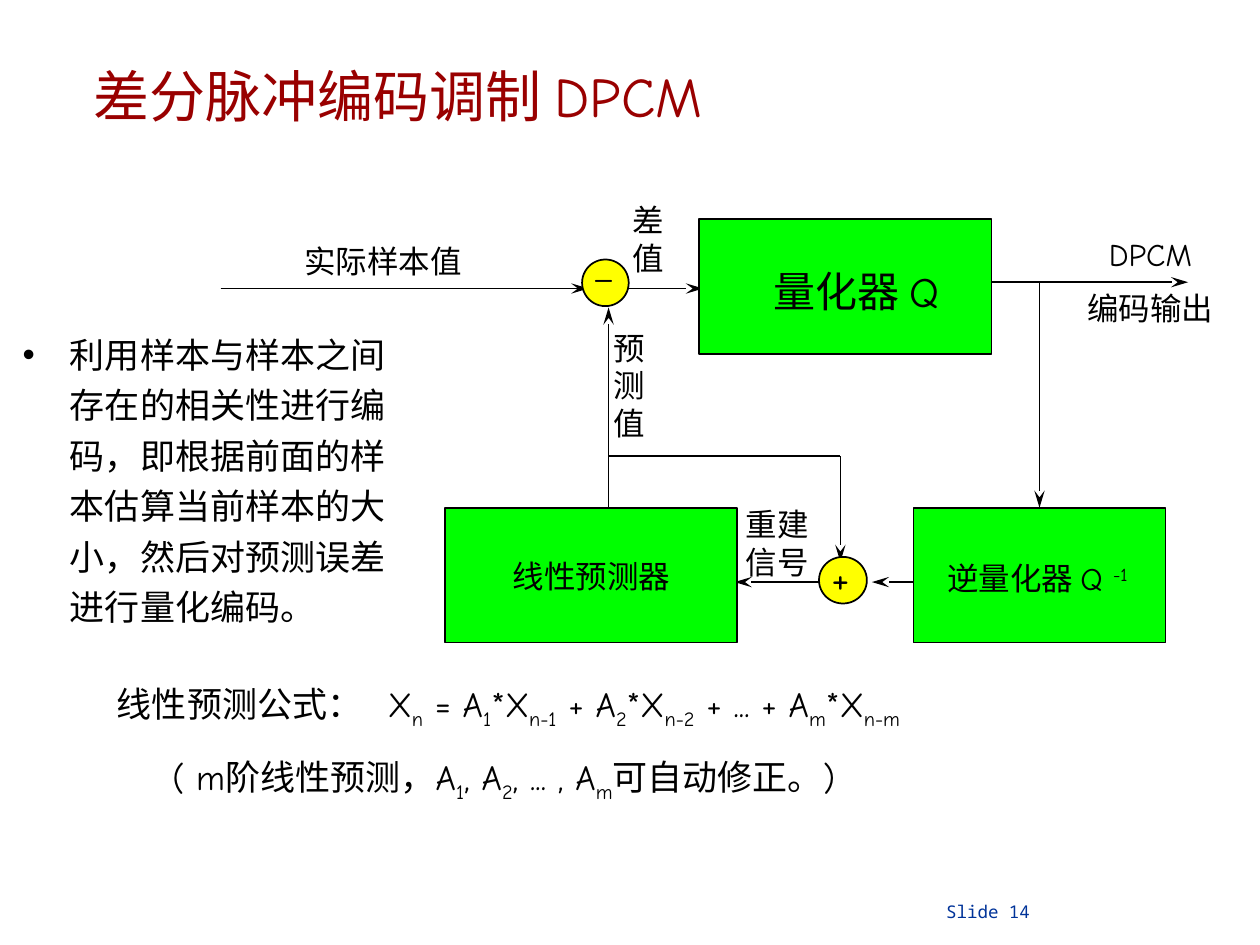
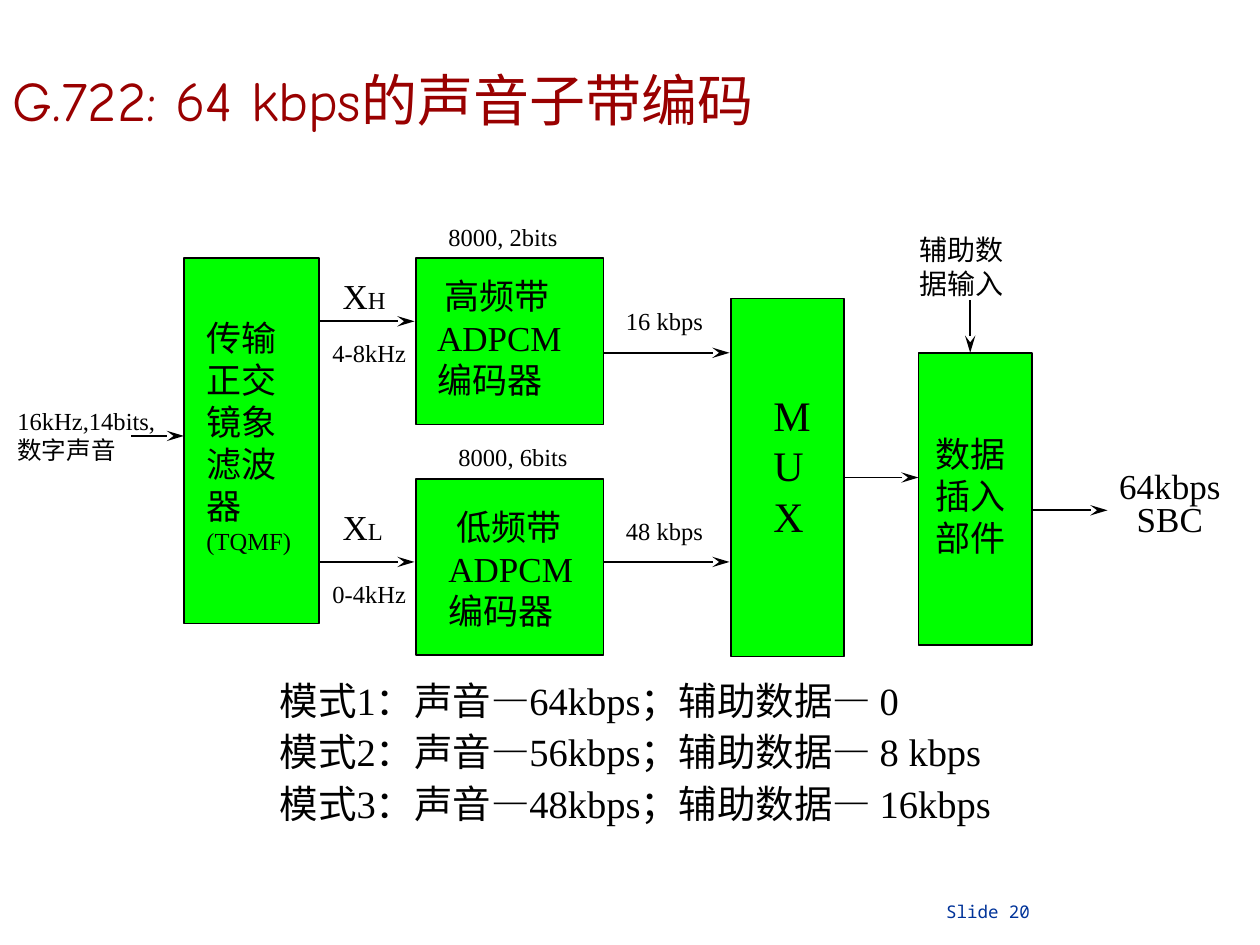
"""Build two slides on DPCM and G.722 sub-band audio coding."""
from dataclasses import dataclass

from lxml import etree
from pptx import Presentation
from pptx.dml.color import RGBColor
from pptx.enum.shapes import MSO_CONNECTOR, MSO_SHAPE
from pptx.enum.text import MSO_ANCHOR, MSO_AUTO_SIZE, PP_ALIGN
from pptx.oxml.ns import qn
from pptx.util import Inches, Pt

LEFT, CENTER = PP_ALIGN.LEFT, PP_ALIGN.CENTER
TOP, NO_FIT = MSO_ANCHOR.TOP, MSO_AUTO_SIZE.NONE
RECTANGLE, OVAL = MSO_SHAPE.RECTANGLE, MSO_SHAPE.OVAL
STRAIGHT = MSO_CONNECTOR.STRAIGHT
BOX_TOP, BOX_RIGHT = 0, 3


@dataclass(frozen=True)
class Theme:
    ink: RGBColor = RGBColor.from_string("000000")
    title: RGBColor = RGBColor.from_string("990000")
    footer: RGBColor = RGBColor.from_string("003399")
    block: RGBColor = RGBColor.from_string("00FF00")
    node: RGBColor = RGBColor.from_string("FFFF00")
    hand: str = "Comic Neue"
    serif: str = "Times New Roman"
    mono: str = "Noto Sans Mono"
    title_size: int = 32
    large: int = 24
    modes: int = 22
    text: int = 20
    label: int = 18
    note: int = 16
    small: int = 14
    footer_size: int = 10
    line: int = 1


THEME = Theme()


def write(target, bounds, text, size, font, color=THEME.ink, align=LEFT, spacing=1.0,
          before=None, odd_size=None, shift=0, margins=(0.1, 0.05)):
    """Fill a text shape; odd pieces between bars take odd_size and the baseline shift."""
    target.left, target.top, target.width, target.height = map(Inches, bounds)
    frame = target.text_frame
    frame.word_wrap, frame.auto_size, frame.vertical_anchor = True, NO_FIT, TOP
    frame.margin_left = frame.margin_right = Inches(margins[0])
    frame.margin_top = frame.margin_bottom = Inches(margins[1])
    frame.text = text.replace("|", "")
    for paragraph, content in zip(frame.paragraphs, text.split("\n")):
        pieces = content.split("|")
        paragraph.text = pieces[0]
        for piece in pieces[1:]:
            paragraph.add_run().text = piece
        paragraph.alignment, paragraph.line_spacing = align, spacing
        paragraph.space_before = Pt(0.625 * (odd_size or size) if before is None else before)
        for index, run in enumerate(paragraph.runs):
            odd = index % 2 == 1
            run.font.size = Pt(odd_size if odd and odd_size else size)
            run.font.name, run.font.color.rgb = font, color
            if odd and shift:
                run._r.get_or_add_rPr().set("baseline", str(shift * 1000))


def draw_line(slide, start, end, arrow=True):
    """Draw a thin straight line, with an arrowhead at its end if wanted."""
    line = slide.shapes.add_connector(STRAIGHT, *map(Inches, start + end))
    line.line.color.rgb, line.line.width = THEME.ink, Pt(THEME.line)
    if arrow:
        etree.SubElement(line.line._get_or_add_ln(), qn("a:tailEnd"),
                         type="stealth", w="med", len="lg")
    etree.SubElement(line._element.spPr, qn("a:effectLst"))
    return line


centered = {"align": CENTER}
tight = {"align": CENTER, "spacing": 0.9}
subscript = {"shift": -25}
superscript = {"shift": 30}
small_tail = {"odd_size": THEME.small}

dpcm = {
    "number": 14, "font": THEME.hand,
    "title": ((0.16, 0.55, 6, 0.48), "差分脉冲编码调制 DPCM", CENTER),
    "body": ((0.08, 2.53, 3.2, 2.75),
             "利用样本与样本之间存在的相关性进行编码，即根据前面的样本估算当前样本的大小，"
             "然后对预测误差进行量化编码。", THEME.text, {"spacing": 1.2, "before": 5}),
    "bulleted": True,
    "blocks": {"quantizer": (5.55, 1.74, 2.32, 1.07),
               "predictor": (3.53, 4.03, 2.32, 1.07),
               "dequantizer": (7.25, 4.03, 2, 1.07)},
    "arrows": [((1.75, 2.29), (5.58, 2.29)), ((1.75, 2.29), (4.67, 2.29)),
               ((7.87, 2.24), (9.43, 2.24)), ((7.25, 4.62), (6.92, 4.62)),
               ((4.83, 4.03), (4.83, 2.44)), ((6.67, 3.62), (6.67, 4.46)),
               ((6.5, 4.62), (5.83, 4.62))],
    "plain_lines": [((4.83, 3.62), (6.67, 3.62))],
    "nodes": [(4.62, 2.06, 0.37, 0.37), (6.5, 4.42, 0.38, 0.37)],
    "labels": [
        ((5.94, 2.1, 1.71, 0.46), "量化器 Q", THEME.large, tight),
        ((1.27, 5.95, 7.08, 0.48), "( m阶线性预测，A|1|, A|2|, ... , A|m|可自动修正。)",
         THEME.text, subscript),
        ((2.25, 1.87, 1.58, 0.4), "实际样本值", THEME.label, centered),
        ((0.83, 5.37, 9.08, 0.48),
         "线性预测公式：\tX|n| = A|1|*X|n-1| + A|2|*X|n-2| + ... + A|m|*X|n-m",
         THEME.text, subscript),
        ((4.63, 1.93, 0.31, 0.4), "_", THEME.label, {}),
        ((3.97, 4.37, 1.86, 0.4), "线性预测器", THEME.label, {}),
        ((7.42, 4.39, 1.83, 0.4), "逆量化器 Q |-1", THEME.label, superscript),
        ((6.5, 4.33, 0.31, 0.5), "+", THEME.large, {}),
        ((4.77, 2.56, 0.62, 1), "预测值", THEME.label, {}),
        ((4.92, 1.55, 0.62, 0.7), "差值", THEME.label, {}),
        ((5.82, 3.96, 0.84, 0.7), "重建信号", THEME.label, {}),
        ((8.42, 1.85, 1.42, 0.8), "DPCM\n编码输出", THEME.label, tight),
    ],
}

mode_rates = [(1, 64, "0"), (2, 56, "8 kbps"), (3, 48, "16kbps")]
g722 = {
    "number": 20, "font": THEME.serif,
    "title": ((0.05, 0.58, 6.41, 0.97), "G.722: 64 kbps的声音子带编码", LEFT),
    "body": ((2.12, 5.45, 6.58, 1.14),
             "\n".join(f"模式{mode}：声音—{audio}kbps；辅助数据— {extra}"
                       for mode, audio, extra in mode_rates),
             THEME.modes, {"spacing": 0.6}),
    "bulleted": False,
    "blocks": {"mux": (5.8, 2.37, 0.9, 2.84), "inserter": (7.29, 2.8, 0.9, 2.32),
               "splitter": (1.46, 2.05, 1.07, 2.9), "high_band": (3.3, 2.05, 1.49, 1.32),
               "low_band": (3.3, 3.8, 1.49, 1.4)},
    "arrows": [((7.7, 2.38), (7.7, 2.8)), ((8.2, 4.05), (8.79, 4.05)),
               ((1.04, 3.46), (1.46, 3.46)), ((2.54, 2.55), (3.29, 2.55)),
               ((2.54, 4.46), (3.29, 4.46)), ((4.79, 2.8), (5.79, 2.8)),
               ((4.79, 4.46), (5.79, 4.46))],
    "plain_lines": [], "nodes": [],
    "labels": [
        ((6.04, 3.04, 0.42, 1.3), "MUX", THEME.large, {}),
        ((8.7, 3.7, 1.17, 0.64), "64kbps SBC", THEME.text,
         {"align": CENTER, "spacing": 0.8}),
        ((7.33, 3.38, 1, 1.1), "数据插入部件", THEME.text, {}),
        ((7.2, 1.8, 1, 0.63), "辅助数据输入", THEME.note, {}),
        ((0.04, 3.17, 1.33, 0.57), "16kHz,14bits, 数字声音", THEME.small, {}),
        ((1.54, 2.46, 0.92, 2), "传输正交镜象滤波器 |(TQMF)", THEME.text, small_tail),
        ((2.54, 2.63, 1, 0.33), "4-8kHz", THEME.small, {}),
        ((2.54, 4.55, 1, 0.33), "0-4kHz", THEME.small, {}),
        ((2.62, 2.13, 0.58, 0.43), "X|H", THEME.text, small_tail),
        ((2.62, 3.96, 0.58, 0.43), "X|L", THEME.text, small_tail),
        ((3.37, 2.13, 1.25, 1.1), " 高频带 ADPCM编码器", THEME.text, {}),
        ((3.46, 1.71, 1.08, 0.33), "8000, 2bits", THEME.small, {}),
        ((4.87, 2.38, 0.83, 0.33), "16 kbps", THEME.small, {}),
        ((3.46, 3.96, 1.25, 1.1), " 低频带 ADPCM 编码器", THEME.text, {}),
        ((3.54, 3.46, 1.08, 0.33), "8000, 6bits", THEME.small, {}),
        ((4.87, 4.05, 0.83, 0.33), "48 kbps", THEME.small, {}),
    ],
}

deck = Presentation()
deck.slide_width, deck.slide_height = Inches(10), Inches(7.5)
blocks = {}

for content in (dpcm, g722):
    slide = deck.slides.add_slide(deck.slide_layouts[1])
    content["slide"] = slide

    bounds, heading, align = content["title"]
    write(slide.shapes.title, bounds, heading, THEME.title_size, THEME.hand, THEME.title,
          align, spacing=0.9, before=0, margins=(0.05, 0))

    bounds, passage, size, style = content["body"]
    body = slide.placeholders[1]
    write(body, bounds, passage, size, content["font"], **style)
    if not content["bulleted"]:
        for paragraph in body.text_frame.paragraphs:
            properties = paragraph._p.get_or_add_pPr()
            properties.set("marL", "0")
            properties.set("indent", "0")
            etree.SubElement(properties, qn("a:buNone"))

    footer = slide.shapes.add_textbox(0, 0, 0, 0)
    write(footer, (7.42, 7.15, 1.5, 0.19), f"Slide {content['number']}", THEME.footer_size,
          THEME.mono, THEME.footer, before=0, margins=(0.09, 0))

    figures = [(name, RECTANGLE, place, THEME.block) for name, place in content["blocks"].items()]
    for start, end in content["arrows"]:
        draw_line(slide, start, end)
    for start, end in content["plain_lines"]:
        draw_line(slide, start, end, arrow=False)
    figures += [("node", OVAL, place, THEME.node) for place in content["nodes"]]
    for name, outline, place, fill in figures:
        figure = slide.shapes.add_shape(outline, *map(Inches, place))
        figure.shadow.inherit = False
        figure.fill.solid()
        figure.fill.fore_color.rgb = fill
        figure.line.color.rgb, figure.line.width = THEME.ink, Pt(THEME.line)
        blocks[name] = figure

    for bounds, wording, size, style in content["labels"]:
        label = slide.shapes.add_textbox(0, 0, 0, 0)
        write(label, bounds, wording, size, content["font"], **style)
        if "\t" in wording:
            properties = label.text_frame.paragraphs[0]._p.get_or_add_pPr()
            stops = etree.SubElement(properties, qn("a:tabLst"))
            etree.SubElement(stops, qn("a:tab"), pos=str(Inches(2.15)), algn="l")

feedback = draw_line(dpcm["slide"], (8.25, 2.24), (8.25, 4.03))
feedback.end_connect(blocks["dequantizer"], BOX_TOP)
multiplexed = draw_line(g722["slide"], (6.7, 3.79), (7.29, 3.79))
multiplexed.begin_connect(blocks["mux"], BOX_RIGHT)

deck.save("out.pptx")
